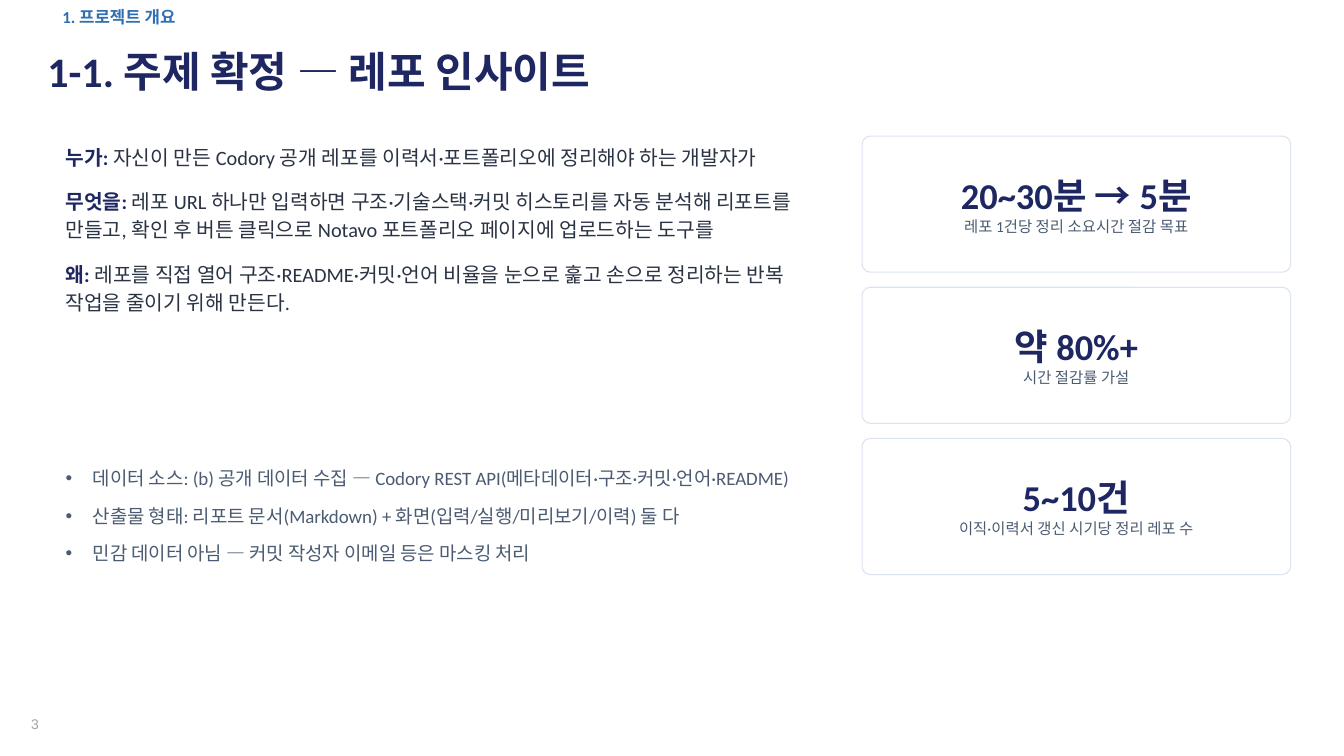
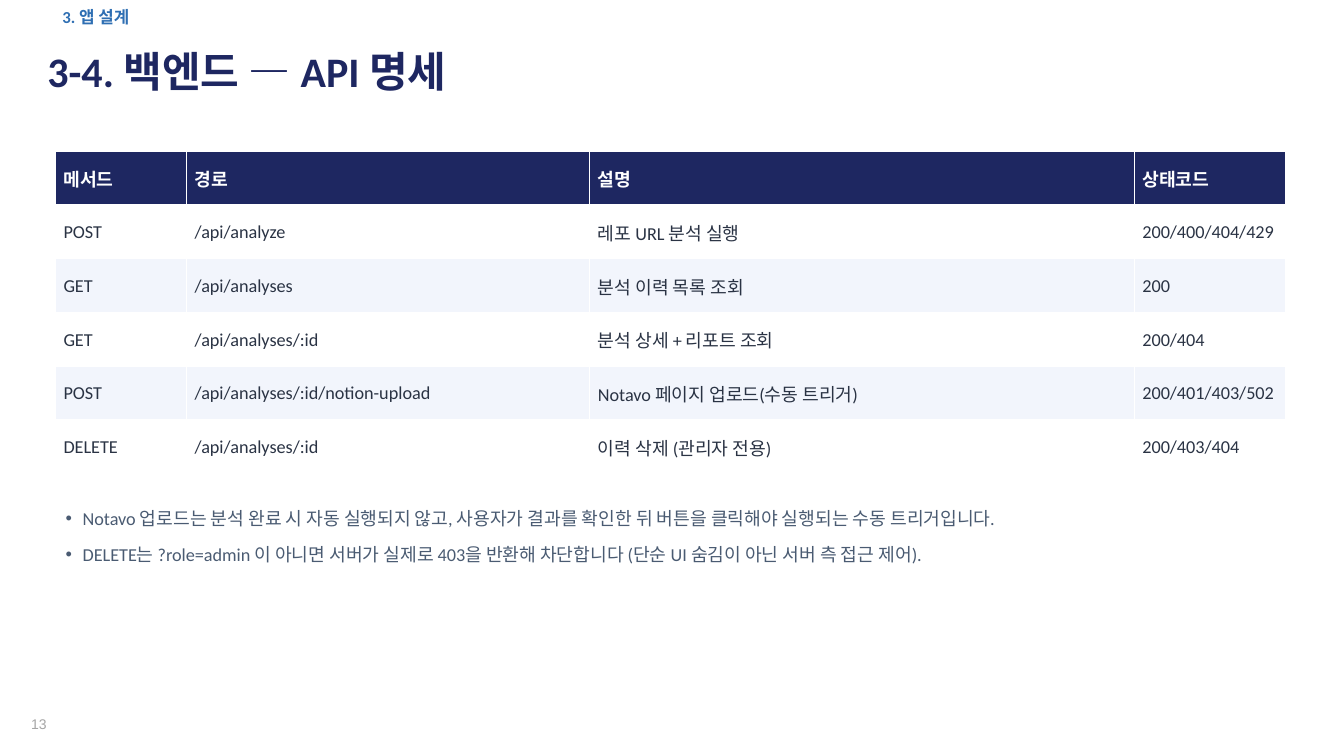
from dataclasses import dataclass

from lxml.etree import SubElement
from pptx import Presentation
from pptx.dml.color import RGBColor
from pptx.enum.shapes import MSO_SHAPE
from pptx.enum.text import MSO_ANCHOR, MSO_AUTO_SIZE, PP_ALIGN
from pptx.oxml.ns import qn
from pptx.util import Inches, Pt


@dataclass(frozen=True)
class Theme:
    navy: RGBColor = RGBColor.from_string("1E2761")
    blue: RGBColor = RGBColor.from_string("2F6FB3")
    ink: RGBColor = RGBColor.from_string("2A3344")
    slate: RGBColor = RGBColor.from_string("4A5B72")
    gray: RGBColor = RGBColor.from_string("A5A5A5")
    border: RGBColor = RGBColor.from_string("DBE3F0")
    band: RGBColor = RGBColor.from_string("F2F5FC")
    white: RGBColor = RGBColor.from_string("FFFFFF")
    font: str = "Calibri"
    number_font: str = "Arial"
    title_size: float = 30
    section_size: float = 12
    summary_size: float = 14.5
    bullet_size: float = 13.5
    note_size: float = 13
    table_size: float = 13
    figure_size: float = 26
    caption_size: float = 11
    number_size: float = 10


theme = Theme()


def frame_text(shape, box, margins=(0.1, 0.05, 0.1, 0.05), anchor=MSO_ANCHOR.TOP):
    """Place a shape and give its text frame fixed margins and wrapping."""
    shape.left, shape.top, shape.width, shape.height = map(Inches, box)
    frame = shape.text_frame
    frame.word_wrap = True
    frame.auto_size = MSO_AUTO_SIZE.NONE
    frame.vertical_anchor = anchor
    frame.margin_left, frame.margin_top, frame.margin_right, frame.margin_bottom = map(Inches, margins)
    return frame


def write(frame, items, size, color, bold=False, align=PP_ALIGN.LEFT, line=1.0,
          after=0, hang=None, font=theme.font):
    """Write one paragraph per item; a (label, text) pair gets a bold label."""
    for index, item in enumerate(items):
        paragraph = frame.paragraphs[0] if index == 0 else frame.add_paragraph()
        paragraph.alignment = align
        paragraph.line_spacing = line
        paragraph.space_before = Pt(0)
        paragraph.space_after = Pt(after)
        properties = paragraph._p.get_or_add_pPr()
        properties.set("marL", str(Inches(hang or 0)))
        properties.set("indent", str(-Inches(hang or 0)))
        if hang:
            SubElement(properties, qn("a:buChar"), char="•")
        else:
            SubElement(properties, qn("a:buNone"))
        paragraph.font.name = font
        paragraph.font.size = Pt(size)
        paragraph.font.bold = bold
        paragraph.font.color.rgb = color
        if isinstance(item, tuple):
            label, text = item
            run = paragraph.add_run()
            run.text = label
            run.font.bold = True
            run.font.color.rgb = theme.navy
        else:
            text = item
        paragraph.add_run().text = text


presentation = Presentation()
presentation.slide_width = Inches(13.33)
presentation.slide_height = Inches(7.5)

# Shared parts: title, section label and page number
pages = [
    ("Two Content", "1. 프로젝트 개요", "1-1. 주제 확정 — 레포 인사이트", "3"),
    ("Title and Content", "3. 앱 설계", "3-4. 백엔드 — API 명세", "13"),
]
for layout_name, section, title, number in pages:
    slide = presentation.slides.add_slide(presentation.slide_layouts.get_by_name(layout_name))
    frame = frame_text(slide.shapes.title, (0.47, 0.33, 12.4, 0.83), (0, 0.18, 0, 0))
    write(frame, [title], theme.title_size, theme.navy, bold=True, line=0.9)
    frame = frame_text(slide.shapes.add_textbox(0, 0, 0, 0), (0.52, 0.02, 8, 0.3))
    write(frame, [section], theme.section_size, theme.blue, bold=True)
    frame = frame_text(slide.shapes.add_textbox(0, 0, 0, 0), (0.31, 6.97, 0.41, 0.3),
                       (0, 0, 0, 0), MSO_ANCHOR.BOTTOM)
    write(frame, [number], theme.number_size, theme.gray, line=0.9, font=theme.number_font)

overview, api = presentation.slides

# Overview: who, what and why
frame = frame_text(overview.placeholders[1], (0.55, 1.35, 7.7, 3))
write(frame, [
    ("누가: ", "자신이 만든 Codory 공개 레포를 이력서·포트폴리오에 정리해야 하는 개발자가"),
    ("무엇을: ", "레포 URL 하나만 입력하면 구조·기술스택·커밋 히스토리를 자동 분석해 리포트를 만들고, "
              "확인 후 버튼 클릭으로 Notavo 포트폴리오 페이지에 업로드하는 도구를"),
    ("왜: ", "레포를 직접 열어 구조·README·커밋·언어 비율을 눈으로 훑고 손으로 정리하는 "
            "반복 작업을 줄이기 위해 만든다."),
], theme.summary_size, theme.ink, line=1.15, after=12)

# Overview: data and output
frame = frame_text(overview.placeholders[2], (0.55, 4.55, 7.7, 1.8))
write(frame, [
    "데이터 소스: (b) 공개 데이터 수집 — Codory REST API(메타데이터·구조·커밋·언어·README)",
    "산출물 형태: 리포트 문서(Markdown) + 화면(입력/실행/미리보기/이력) 둘 다",
    "민감 데이터 아님 — 커밋 작성자 이메일 등은 마스킹 처리",
], theme.bullet_size, theme.slate, line=1.15, after=8, hang=0.27)

# Overview: key figure cards
cards = [
    ("20~30분 → 5분", "레포 1건당 정리 소요시간 절감 목표"),
    ("약 80%+", "시간 절감률 가설"),
    ("5~10건", "이직·이력서 갱신 시기당 정리 레포 수"),
]
card_height, card_gap = 1.35, 0.15
for index, (figure, caption) in enumerate(cards):
    card = overview.shapes.add_shape(MSO_SHAPE.ROUNDED_RECTANGLE, 0, 0, 0, 0)
    card.adjustments[0] = 0.06
    card.shadow.inherit = False
    card.fill.solid()
    card.fill.fore_color.rgb = theme.white
    card.line.color.rgb = theme.border
    card.line.width = Pt(0.75)
    top = 1.35 + index * (card_height + card_gap)
    frame = frame_text(card, (8.55, top, 4.25, card_height), (0.12, 0.05, 0.12, 0.05), MSO_ANCHOR.MIDDLE)
    write(frame, [figure, caption], theme.caption_size, theme.slate, align=PP_ALIGN.CENTER)
    headline = frame.paragraphs[0].font
    headline.size = Pt(theme.figure_size)
    headline.bold = True
    headline.color.rgb = theme.navy

# API: endpoint table
rows = [
    ("메서드", "경로", "설명", "상태코드"),
    ("POST", "/api/analyze", "레포 URL 분석 실행", "200/400/404/429"),
    ("GET", "/api/analyses", "분석 이력 목록 조회", "200"),
    ("GET", "/api/analyses/:id", "분석 상세 + 리포트 조회", "200/404"),
    ("POST", "/api/analyses/:id/notion-upload", "Notavo 페이지 업로드(수동 트리거)", "200/401/403/502"),
    ("DELETE", "/api/analyses/:id", "이력 삭제 (관리자 전용)", "200/403/404"),
]
column_widths = (1.3, 4, 5.4, 1.5)
table = api.shapes.add_table(len(rows), len(column_widths), Inches(0.55), Inches(1.5),
                             Inches(sum(column_widths)), Inches(3.2)).table
table.horz_banding = False
for column, width in zip(table.columns, column_widths):
    column.width = Inches(width)
for row_index, row in enumerate(rows):
    header = row_index == 0
    stripe = theme.white if row_index % 2 else theme.band
    for column_index, text in enumerate(row):
        cell = table.cell(row_index, column_index)
        cell.fill.solid()
        cell.fill.fore_color.rgb = theme.navy if header else stripe
        cell.vertical_anchor = MSO_ANCHOR.MIDDLE
        cell.margin_left = cell.margin_right = Inches(0.08)
        cell.margin_top = cell.margin_bottom = Inches(0.03)
        write(cell.text_frame, [text], theme.table_size, theme.white if header else theme.ink,
              bold=header, line=1.05)

# API: notes
frame = frame_text(api.placeholders[1], (0.55, 4.95, 12.2, 1.6))
write(frame, [
    "Notavo 업로드는 분석 완료 시 자동 실행되지 않고, 사용자가 결과를 확인한 뒤 버튼을 클릭해야 실행되는 수동 트리거입니다.",
    "DELETE는 ?role=admin 이 아니면 서버가 실제로 403을 반환해 차단합니다 (단순 UI 숨김이 아닌 서버 측 접근 제어).",
], theme.note_size, theme.slate, line=1.15, after=8, hang=0.17)

presentation.save("out.pptx")
